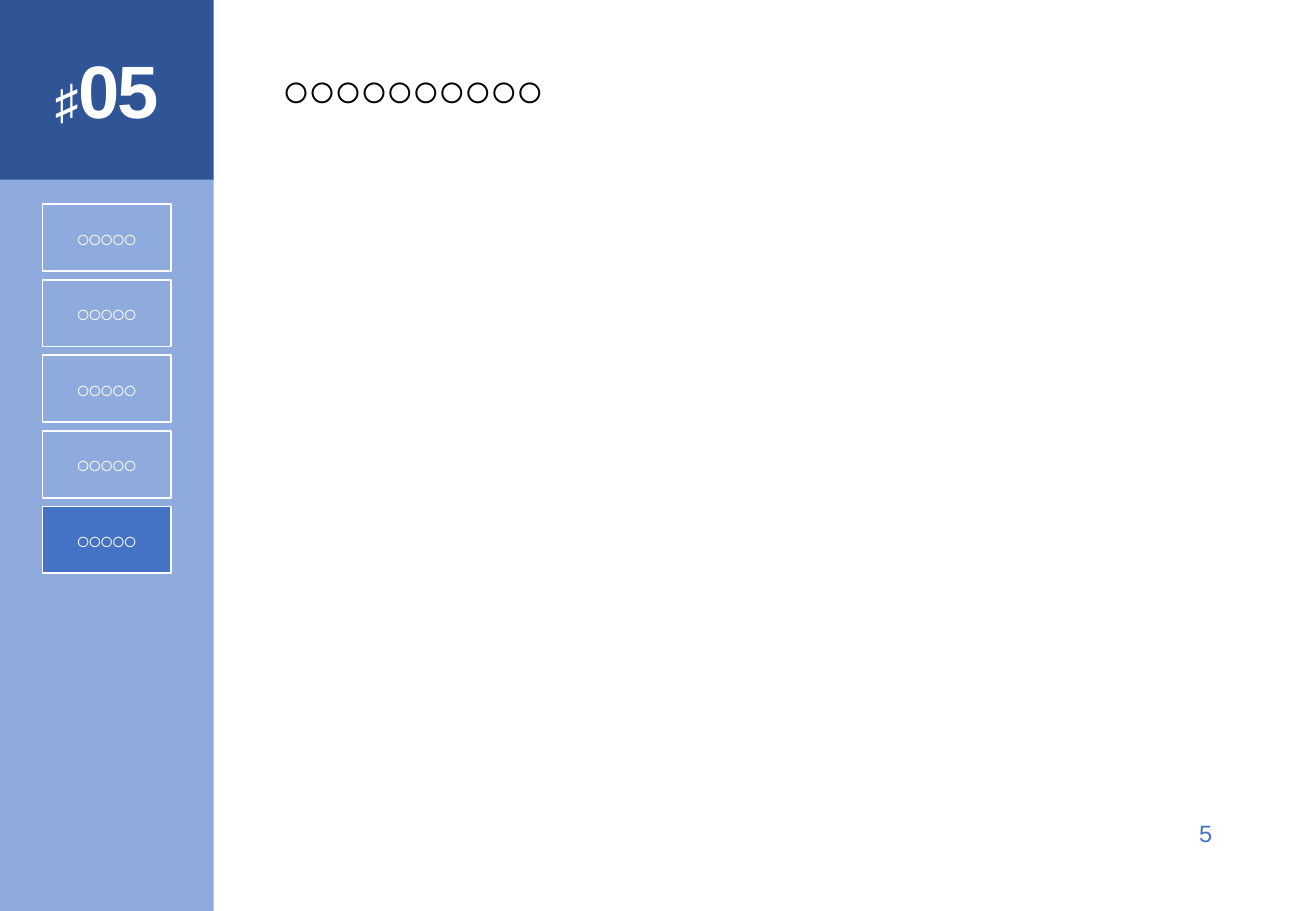
from dataclasses import dataclass

from pptx import Presentation
from pptx import util as u
from pptx.dml.color import RGBColor
from pptx.enum import shapes, text
from pptx.oxml import parse_xml
from pptx.oxml.ns import nsdecls


@dataclass(frozen=True)
class Theme:
    font: str = "Arial"
    track: str = "-150"
    white: str = "FFFFFF"
    black: str = "000000"
    pale: str = "8FAADC"
    mid: str = "4472C4"
    dark: str = "2F5597"
    small: int = 14
    large: int = 28
    huge: int = 44


class Deck:
    def __init__(self, theme, width, height):
        self.theme = theme
        self.prs = Presentation()
        self.prs.slide_width = u.Cm(width)
        self.prs.slide_height = u.Cm(height)
        self.slide = self.prs.slides.add_slide(self.prs.slide_layouts[5])

    def style(self, font, size, color, bold):
        font.name = self.theme.font
        font.size = u.Pt(size)
        font.bold = bold
        font.color.rgb = RGBColor.from_string(color)
        props = font._rPr
        props.set("spc", self.theme.track)
        latin = props.find("{*}latin")
        latin.addnext(parse_xml(
            f'<a:ea {nsdecls("a")} typeface="{self.theme.font}"/>'))

    def fill_text(self, shape, words, size, color, bold, align):
        frame = shape.text_frame
        frame.word_wrap = True
        frame.auto_size = text.MSO_AUTO_SIZE.NONE
        frame.vertical_anchor = text.MSO_ANCHOR.TOP
        para = frame.paragraphs[0]
        para.text = words
        para.alignment = align
        self.style(para.font, size, color, bold)
        return para

    def title(self, words, x, y, w, h):
        shape = self.slide.shapes.title
        shape.left, shape.top = u.Cm(x), u.Cm(y)
        shape.width, shape.height = u.Cm(w), u.Cm(h)
        self.fill_text(shape, words, self.theme.large, self.theme.black, True,
                       text.PP_ALIGN.LEFT)

    def rect(self, x, y, w, h, fill, line=None):
        shape = self.slide.shapes.add_shape(
            shapes.MSO_SHAPE.RECTANGLE, u.Cm(x), u.Cm(y), u.Cm(w), u.Cm(h))
        shape.shadow.inherit = False
        shape.fill.solid()
        shape.fill.fore_color.rgb = RGBColor.from_string(fill)
        if line:
            shape.line.color.rgb = RGBColor.from_string(line)
            shape.line.width = u.Pt(1)
        else:
            shape.line.fill.background()

    def label(self, words, x, y, w, h, size, color, bold=False,
              align=text.PP_ALIGN.CENTER):
        shape = self.slide.shapes.add_textbox(
            u.Cm(x), u.Cm(y), u.Cm(w), u.Cm(h))
        return self.fill_text(shape, words, size, color, bold, align)


def main():
    look = Theme()
    deck = Deck(look, 27.52, 19.05)
    side = 4.47

    # Side panel and header block
    deck.rect(0, 3.73, side, 15.32, look.pale)
    deck.rect(0, 0, side, 3.76, look.dark)

    # Title and page number
    deck.title("○○○○○○○○○○", 5.64, 1.14, 13.28, 1.45)
    deck.label("5", 24.46, 17, 1.14, 0.86, look.small, look.mid,
               align=text.PP_ALIGN.RIGHT)

    # Chapter number
    para = deck.label("♯", 0, 0.81, side, 2.13, look.large, look.white, True)
    digits = para.add_run()
    digits.text = "05"
    deck.style(digits.font, look.huge, look.white, True)

    # Chapter menu, the current one highlighted
    count, now, top, step = 5, 4, 4.27, 1.58
    box, tall, band = 2.69, 1.4, 3.56
    for i in range(count):
        y = top + i * step
        fill = look.mid if i == now else look.pale
        deck.rect((side - box) / 2, y, box, tall, fill, look.white)
        deck.label("○○○○○", (side - band) / 2, y + 0.28, band, 0.86,
                   look.small, look.white, i == now)

    deck.prs.save("out.pptx")


if __name__ == "__main__":
    main()
